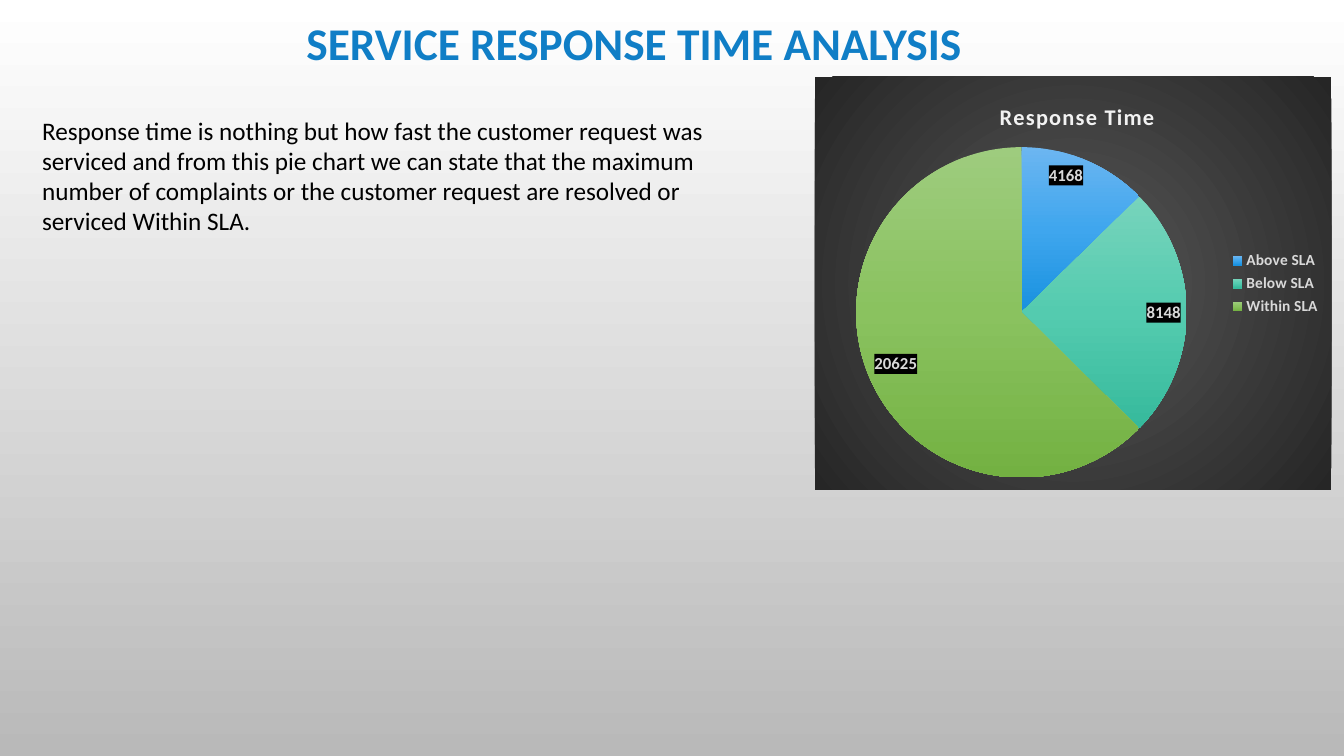
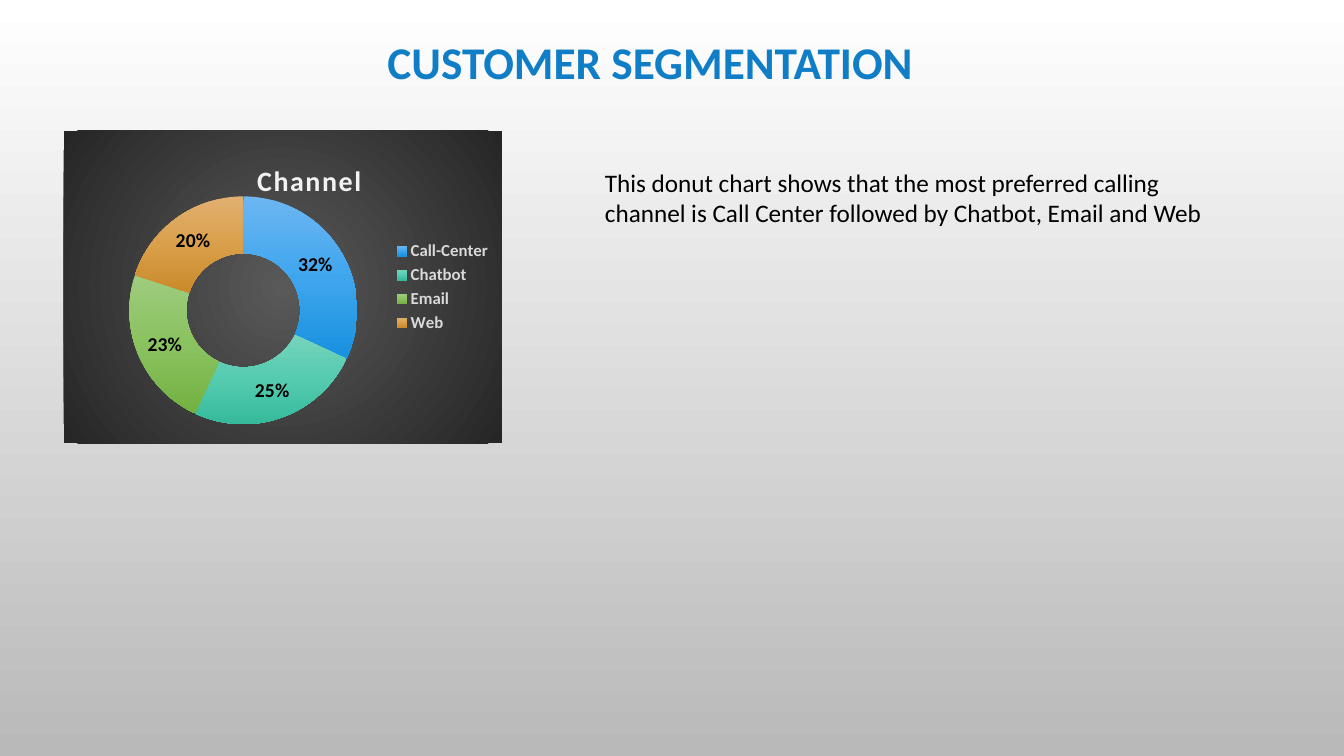
from lxml import etree
from pptx import Presentation
from pptx.chart.data import CategoryChartData
from pptx.dml.color import RGBColor
from pptx.enum.chart import XL_CHART_TYPE, XL_LABEL_POSITION, XL_LEGEND_POSITION
from pptx.enum.text import MSO_ANCHOR, PP_ALIGN
from pptx.oxml import parse_xml
from pptx.oxml.ns import nsdecls
from pptx.util import Pt

PIE, DOUGHNUT = XL_CHART_TYPE.PIE, XL_CHART_TYPE.DOUGHNUT
INSIDE_END = XL_LABEL_POSITION.INSIDE_END
RIGHT = XL_LEGEND_POSITION.RIGHT
CENTER, LEFT = PP_ALIGN.CENTER, PP_ALIGN.LEFT
MIDDLE, TOP = MSO_ANCHOR.MIDDLE, MSO_ANCHOR.TOP

COLORS = {
    "title": "107EC6",
    "text": "000000",
    "chart_title": "F2F2F2",
    "legend": "D9D9D9",
}
BACKGROUND = ("FFFFFF", "B9B9B9")
CHART_PANEL = ("595959", "262626")
SLICES = (
    ("6CB6F1", "3FA6EE", "1891DF"),
    ("77D4BC", "54CBAF", "36BA9C"),
    ("9ECC7E", "8AC25F", "73B142"),
    ("E0B071", "DA9F4B", "C98A29"),
)
DOWNWARD = '<a:lin ang="5400000" scaled="0"/>'
RADIAL = ('<a:path path="circle"><a:fillToRect l="50000" t="50000" '
          'r="50000" b="50000"/></a:path>')


def gradient(colors, direction=DOWNWARD):
    step = 100000 // (len(colors) - 1)
    stops = "".join(
        f'<a:gs pos="{index * step}"><a:srgbClr val="{color}"/></a:gs>'
        for index, color in enumerate(colors))
    return parse_xml(f'<a:gradFill {nsdecls("a")} rotWithShape="1">'
                     f'<a:gsLst>{stops}</a:gsLst>{direction}</a:gradFill>')


def replace_fill(solid_fill, colors):
    solid_fill.getparent().replace(solid_fill, gradient(colors))


def shape_properties(fill):
    properties = parse_xml(f'<c:spPr {nsdecls("c", "a")}/>')
    properties.append(fill)
    return properties


def set_layout(element, target="", **fractions):
    for old_layout in element.xpath("c:layout"):
        element.remove(old_layout)
    modes = "".join(f'<c:{axis}Mode val="edge"/>' for axis in "xy")
    values = "".join(f'<c:{name} val="{value}"/>' for name, value in fractions.items())
    layout = parse_xml(f'<c:layout {nsdecls("c")}><c:manualLayout>'
                       f'{target}{modes}{values}</c:manualLayout></c:layout>')
    element.xpath("c:overlay | c:pieChart | c:doughnutChart")[0].addprevious(layout)


class Deck:
    """Holds the shared style and the slide being built."""

    font_name = "Calibri"

    def __init__(self):
        self.presentation = Presentation()
        self.presentation.slide_width = Pt(960)
        self.presentation.slide_height = Pt(540)
        master = self.presentation.slide_master
        master.background.fill.solid()
        replace_fill(master.element.xpath(".//p:bgPr/a:solidFill")[0], BACKGROUND)
        self.slide = None

    def add_slide(self):
        self.slide = self.presentation.slides.add_slide(
            self.presentation.slide_layouts[6])

    def style(self, font, size, color, bold=False):
        font.name = self.font_name
        font.size = Pt(size)
        font.bold = bold
        font.color.rgb = RGBColor.from_string(COLORS[color])

    def text(self, words, box, size, color, bold=False, alignment=LEFT, anchor=TOP):
        shape = self.slide.shapes.add_textbox(*map(Pt, box))
        frame = shape.text_frame
        frame.word_wrap = True
        frame.vertical_anchor = anchor
        paragraph = frame.paragraphs[0]
        paragraph.text = words
        paragraph.alignment = alignment
        self.style(paragraph.font, size, color, bold)

    def title(self, words, left, top):
        self.text(words, (left, top, 850, 46), 32.4, "title", True, CENTER, MIDDLE)

    def body(self, words, box):
        self.text(words, box, 18, "text")

    def chart(self, kind, name, values, box, title_size, title_at, plot_box, legend_size):
        data = CategoryChartData()
        data.categories = list(values)
        data.add_series("Series 1", list(values.values()))
        chart = self.slide.shapes.add_chart(kind, *map(Pt, box), data).chart
        self.style(chart.font, 10, "text")
        chart.element.xpath("c:txPr")[0].addprevious(
            shape_properties(gradient(CHART_PANEL, RADIAL)))
        self.chart_title(chart, name, title_size, title_at)
        self.legend(chart, legend_size)
        plot = chart.plots[0]
        plot.vary_by_categories = True
        left, top, width, height = plot_box
        set_layout(chart.element.xpath(".//c:plotArea")[0],
                   '<c:layoutTarget val="inner"/>', x=left, y=top, w=width, h=height)
        series = plot.series[0]
        for index, colors in enumerate(SLICES[:len(values)]):
            point_format = series.points[index].format
            point_format.fill.solid()
            point_format.line.fill.background()
            replace_fill(chart.element.xpath(".//c:dPt/c:spPr/a:solidFill")[0], colors)
        plot.has_data_labels = True
        return chart

    def chart_title(self, chart, words, size, position):
        chart.has_title = True
        paragraph = chart.chart_title.text_frame.paragraphs[0]
        paragraph.text = words
        self.style(paragraph.font, size, "chart_title", True)
        chart.element.xpath(".//c:title//a:defRPr")[0].set("spc", "100")
        left, top = position
        set_layout(chart.element.xpath(".//c:title")[0], x=left, y=top)

    def legend(self, chart, size):
        chart.has_legend = True
        chart.legend.position = RIGHT
        chart.legend.include_in_layout = False
        self.style(chart.legend.font, size, "legend", True)

    def value_labels(self, chart):
        labels = chart.plots[0].data_labels
        self.style(labels.font, 12, "legend", True)
        labels.show_value = True
        labels.position = INSIDE_END
        black = parse_xml(f'<a:solidFill {nsdecls("a")}/>')
        etree.SubElement(black, black.tag.replace("solidFill", "srgbClr"),
                         val=COLORS["text"])
        chart.element.xpath(".//c:dLbls/c:txPr")[0].addprevious(shape_properties(black))

    def percent_labels(self, chart):
        labels = chart.plots[0].data_labels
        self.style(labels.font, 14, "text", True)
        labels.show_value = False
        labels.show_percentage = True
        labels.number_format = "0%"
        labels.number_format_is_linked = False


def main():
    deck = Deck()

    deck.add_slide()
    deck.title("SERVICE RESPONSE TIME ANALYSIS", 28, 7)
    response_chart = deck.chart(
        PIE, "Response Time",
        {"Above SLA": 4168, "Below SLA": 8148, "Within SLA": 20625},
        (582, 55, 369, 295), 16, (0.35, 0.05), (0.08, 0.17, 0.64, 0.8), 11)
    deck.value_labels(response_chart)
    deck.body("Response time is nothing but how fast the customer request was serviced "
              "and from this pie chart we can state that the maximum number of "
              "complaints or the customer request are resolved or serviced Within SLA.",
              (23, 78.5, 525, 94))

    deck.add_slide()
    deck.title("CUSTOMER SEGMENTATION", 39.5, 20.5)
    channel_chart = deck.chart(
        DOUGHNUT, "Channel",
        {"Call-Center": 32, "Chatbot": 25, "Email": 23, "Web": 20},
        (45.5, 93.5, 313, 223), 20, (0.43, 0.08), (0.15, 0.21, 0.52, 0.73), 12)
    channel_chart.element.xpath(".//c:holeSize")[0].set("val", "75")
    deck.percent_labels(channel_chart)
    deck.body("This donut chart shows that the most preferred calling channel is "
              "Call Center followed by Chatbot, Email and Web", (425, 116, 455, 51))

    deck.presentation.save("out.pptx")


if __name__ == "__main__":
    main()
